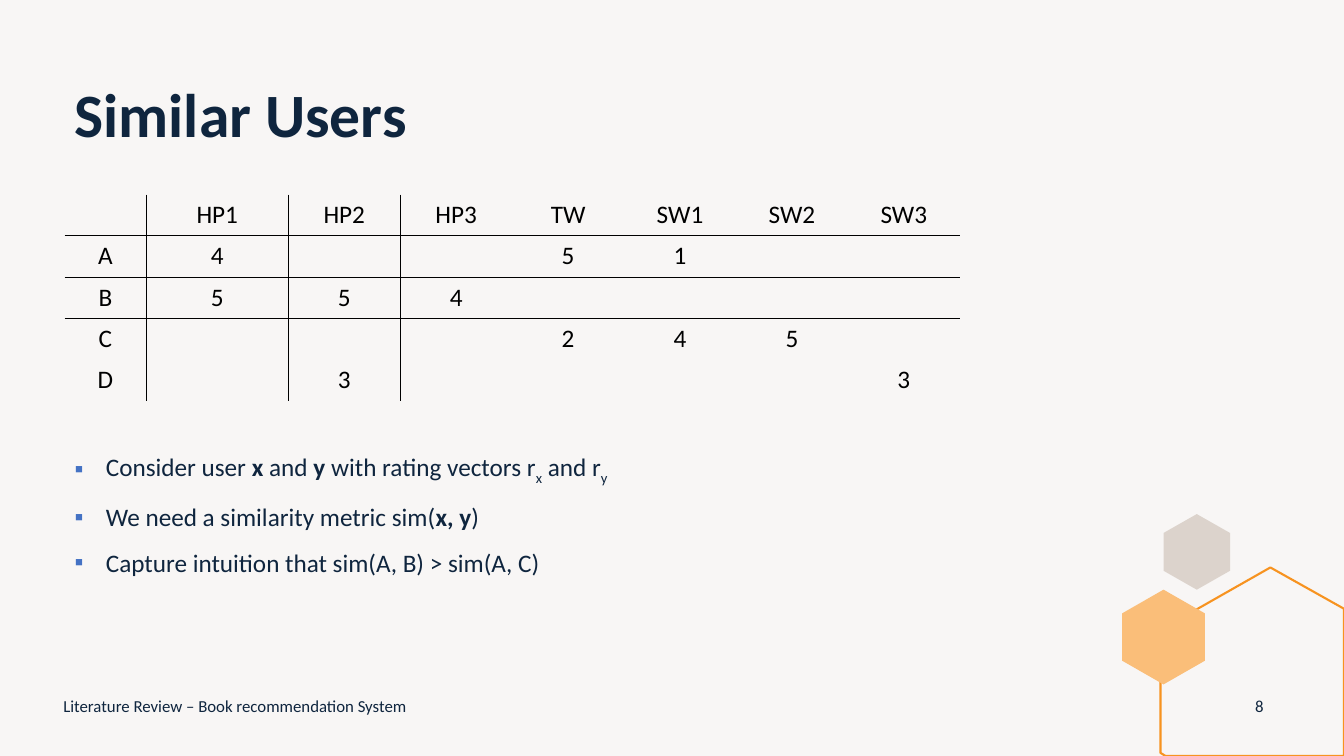
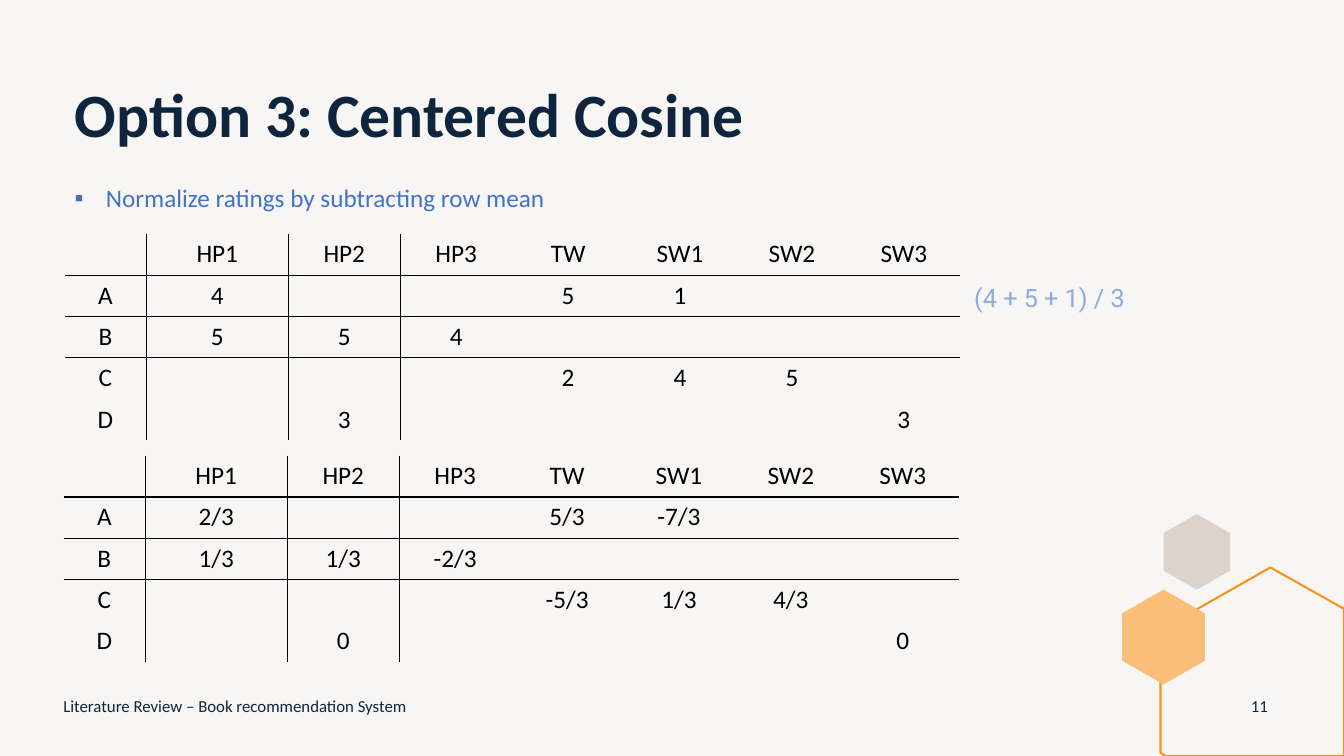
from lxml.etree import SubElement
from pptx import Presentation
from pptx.dml.color import RGBColor
from pptx.enum.text import MSO_ANCHOR, MSO_AUTO_SIZE, PP_ALIGN
from pptx.oxml import parse_xml
from pptx.oxml.ns import nsdecls, qn
from pptx.util import Inches, Pt

NAVY, BLUE, PALE_BLUE, BLACK = "0F253E", "4472C4", "8FAADC", "000000"
PAPER, STONE, ORANGE, APRICOT = "F8F6F5", "DCD3CC", "F79320", "FABE79"
FOOTER = "Literature Review – Book recommendation System"
NO_TABLE_STYLE = "{2D5ABB26-0587-4C30-8999-92F81FD0307C}"
BORDER_SIDES = ("L", "R", "T", "B")
COLUMN_WIDTHS = [0.81, 1.41] + [1.11] * 6
ROW_HEIGHT = 0.41
BOOKS = ["", "HP1", "HP2", "HP3", "TW", "SW1", "SW2", "SW3"]
RATINGS = [
    BOOKS,
    ["A", "4", "", "", "5", "1", "", ""],
    ["B", "5", "5", "4", "", "", "", ""],
    ["C", "", "", "", "2", "4", "5", ""],
    ["D", "", "3", "", "", "", "", "3"],
]
CENTERED_RATINGS = [
    BOOKS,
    ["A", "2/3", "", "", "5/3", "-7/3", "", ""],
    ["B", "1/3", "1/3", "-2/3", "", "", "", ""],
    ["C", "", "", "", "-5/3", "1/3", "4/3", ""],
    ["D", "", "0", "", "", "", "", "0"],
]
SIMILARITY_POINTS = [
    [("Consider user ", ""), ("x", "bold"), (" and ", ""), ("y", "bold"),
     (" with rating vectors r", ""), ("x", "sub"), (" and r", ""), ("y", "sub")],
    [("We need a similarity metric sim(", ""), ("x, y", "bold"), (")", "")],
    [("Capture intuition that sim(A, B) > sim(A, C)", "")],
]
NORMALIZE_POINTS = [[("Normalize ratings by subtracting row mean", "")]]


def rgb(code):
    """Turn a hex string into a colour."""
    return RGBColor.from_string(code)


def apply_format(target, values):
    """Set each attribute named in values."""
    for attribute, value in values.items():
        setattr(target, attribute, value)


def format_font(font, size, color, name="Calibri", bold=False):
    """Give a font its face, size, weight and colour."""
    apply_format(font, {"name": name, "size": Pt(size), "bold": bold})
    font.color.rgb = rgb(color)


def place(element, left, top, width, height):
    """Move and size an element, in inches."""
    apply_format(element, {"left": Inches(left), "top": Inches(top),
                           "width": Inches(width), "height": Inches(height)})


def add_outline(slide, points, fill=None, line=None):
    """Draw a closed polygon through points given in inches."""
    corners = [(Inches(x), Inches(y)) for x, y in points]
    builder = slide.shapes.build_freeform(*corners[0])
    builder.add_line_segments(corners[1:], close=True)
    polygon = builder.convert_to_shape()
    polygon.shadow.inherit = False
    if fill:
        polygon.fill.solid()
        polygon.fill.fore_color.rgb = rgb(fill)
    else:
        polygon.fill.background()
    if line:
        polygon.line.color.rgb = rgb(line)
        polygon.line.width = Pt(1.5)
    else:
        polygon.line.fill.background()


def add_hexagon(slide, left, top, width, height, fill):
    """Draw a hexagon that stands on a corner."""
    fractions = [(0.5, 0), (1, 0.25), (1, 0.75), (0.5, 1), (0, 0.75), (0, 0.25)]
    points = [(left + width * x, top + height * y) for x, y in fractions]
    add_outline(slide, points, fill=fill)


def add_label(slide, text, box, size, color, align, name="Calibri"):
    """Add one line of text, centred vertically in its box."""
    label = slide.shapes.add_textbox(*(Inches(length) for length in box))
    frame = label.text_frame
    apply_format(frame, {"word_wrap": True, "vertical_anchor": MSO_ANCHOR.MIDDLE})
    paragraph = frame.paragraphs[0]
    paragraph.alignment = align
    run = paragraph.add_run()
    run.text = text
    format_font(run.font, size, color, name)


def add_bullet(paragraph):
    """Give a paragraph a blue square bullet with a hanging indent."""
    properties = paragraph._p.get_or_add_pPr()
    indent = Inches(0.31)
    properties.set("marL", str(indent))
    properties.set("indent", str(-indent))
    bullet_color = SubElement(properties, qn("a:buClr"))
    SubElement(bullet_color, qn("a:srgbClr")).set("val", BLUE)
    SubElement(properties, qn("a:buFont")).set("typeface", "Arial")
    SubElement(properties, qn("a:buChar")).set("char", "▪")


def fill_points(slide, points, top, height, color, line_spacing):
    """Write a bulleted list in the body placeholder."""
    body = slide.placeholders[1]
    place(body, 0.64, top, 10.48, height)
    frame = body.text_frame
    apply_format(frame, {"auto_size": MSO_AUTO_SIZE.NONE, "vertical_anchor": MSO_ANCHOR.TOP})
    for index, parts in enumerate(points):
        paragraph = frame.add_paragraph() if index else frame.paragraphs[0]
        add_bullet(paragraph)
        apply_format(paragraph, {"line_spacing": line_spacing,
                                 "space_before": Pt(11 if index else 0)})
        for text, style in parts:
            run = paragraph.add_run()
            run.text = text
            format_font(run.font, 18, color, bold=style == "bold")
            if style == "sub":
                run.font._element.set("baseline", "-25000")


def set_borders(cell, sides):
    """Rule the named sides of a cell in black."""
    properties = cell._tc.get_or_add_tcPr()
    ruled = [side for side in BORDER_SIDES if side in sides]
    for index, side in enumerate(ruled):
        properties.insert(index, parse_xml(
            f'<a:ln{side} {nsdecls("a")} w="{Pt(1)}"><a:solidFill>'
            f'<a:srgbClr val="{BLACK}"/></a:solidFill></a:ln{side}>'))


def border_sides(row, column):
    """Name the ruled sides around the first two rows and columns."""
    rules = {"L": column in (1, 2), "R": column in (0, 1),
             "T": row in (1, 2), "B": row in (0, 1)}
    return [side for side, ruled in rules.items() if ruled]


def add_ratings(slide, ratings, left, top):
    """Add a table of users against books."""
    frame = slide.shapes.add_table(
        len(ratings), len(BOOKS), Inches(left), Inches(top),
        Inches(sum(COLUMN_WIDTHS)), Inches(ROW_HEIGHT * len(ratings)))
    table = frame.table
    apply_format(table, {"first_row": False, "horz_banding": False})
    table._tbl.tblPr.find(qn("a:tableStyleId")).text = NO_TABLE_STYLE
    for column, width in zip(table.columns, COLUMN_WIDTHS):
        column.width = Inches(width)
    for row, values in enumerate(ratings):
        for column, value in enumerate(values):
            cell = table.cell(row, column)
            cell.text = value
            cell.fill.background()
            set_borders(cell, border_sides(row, column))
            paragraph = cell.text_frame.paragraphs[0]
            paragraph.alignment = PP_ALIGN.CENTER
            for run in paragraph.runs:
                format_font(run.font, 18, BLACK)


def add_slide(deck, heading, number):
    """Add a slide with the shared hexagons, title and footer."""
    slide = deck.slides.add_slide(deck.slide_layouts[1])
    add_hexagon(slide, 11.54, 5.1, 0.66, 0.75, STONE)
    add_outline(slide, [(12.6, 5.63), (13.33, 6.04), (13.33, 7.5),
                        (11.56, 7.5), (11.51, 7.47), (11.51, 6.25)], line=ORANGE)
    add_hexagon(slide, 11.13, 5.85, 0.82, 0.94, APRICOT)
    title = slide.shapes.title
    place(title, 0.64, 0.79, 11.09, 0.83)
    title.text = heading
    apply_format(title.text_frame, {"auto_size": MSO_AUTO_SIZE.NONE,
                                    "vertical_anchor": MSO_ANCHOR.TOP})
    paragraph = title.text_frame.paragraphs[0]
    apply_format(paragraph, {"alignment": PP_ALIGN.LEFT, "line_spacing": 0.9})
    format_font(paragraph.runs[0].font, 44, NAVY, bold=True)
    add_label(slide, FOOTER, (0.53, 6.8, 4.5, 0.4), 12, NAVY, PP_ALIGN.LEFT)
    add_label(slide, number, (12.24, 6.8, 0.5, 0.4), 12, NAVY, PP_ALIGN.CENTER)
    return slide


def main():
    """Build and save the two slides."""
    deck = Presentation()
    apply_format(deck, {"slide_width": Inches(13.33), "slide_height": Inches(7.5)})
    background = deck.slide_master.background.fill
    background.solid()
    background.fore_color.rgb = rgb(PAPER)

    similar_users = add_slide(deck, "Similar Users", "8")
    fill_points(similar_users, SIMILARITY_POINTS, 4.43, 1.6, NAVY, 1.0)
    add_ratings(similar_users, RATINGS, 0.64, 1.93)

    centered_cosine = add_slide(deck, "Option 3: Centered Cosine", "11")
    fill_points(centered_cosine, NORMALIZE_POINTS, 1.79, 0.5, BLUE, 0.9)
    add_ratings(centered_cosine, RATINGS, 0.64, 2.32)
    add_ratings(centered_cosine, CENTERED_RATINGS, 0.63, 4.52)
    add_label(centered_cosine, "(4 + 5 + 1) / 3", (9.53, 2.75, 1.76, 0.4),
              18, PALE_BLUE, PP_ALIGN.CENTER, "Roboto")
    deck.save("out.pptx")


if __name__ == "__main__":
    main()
